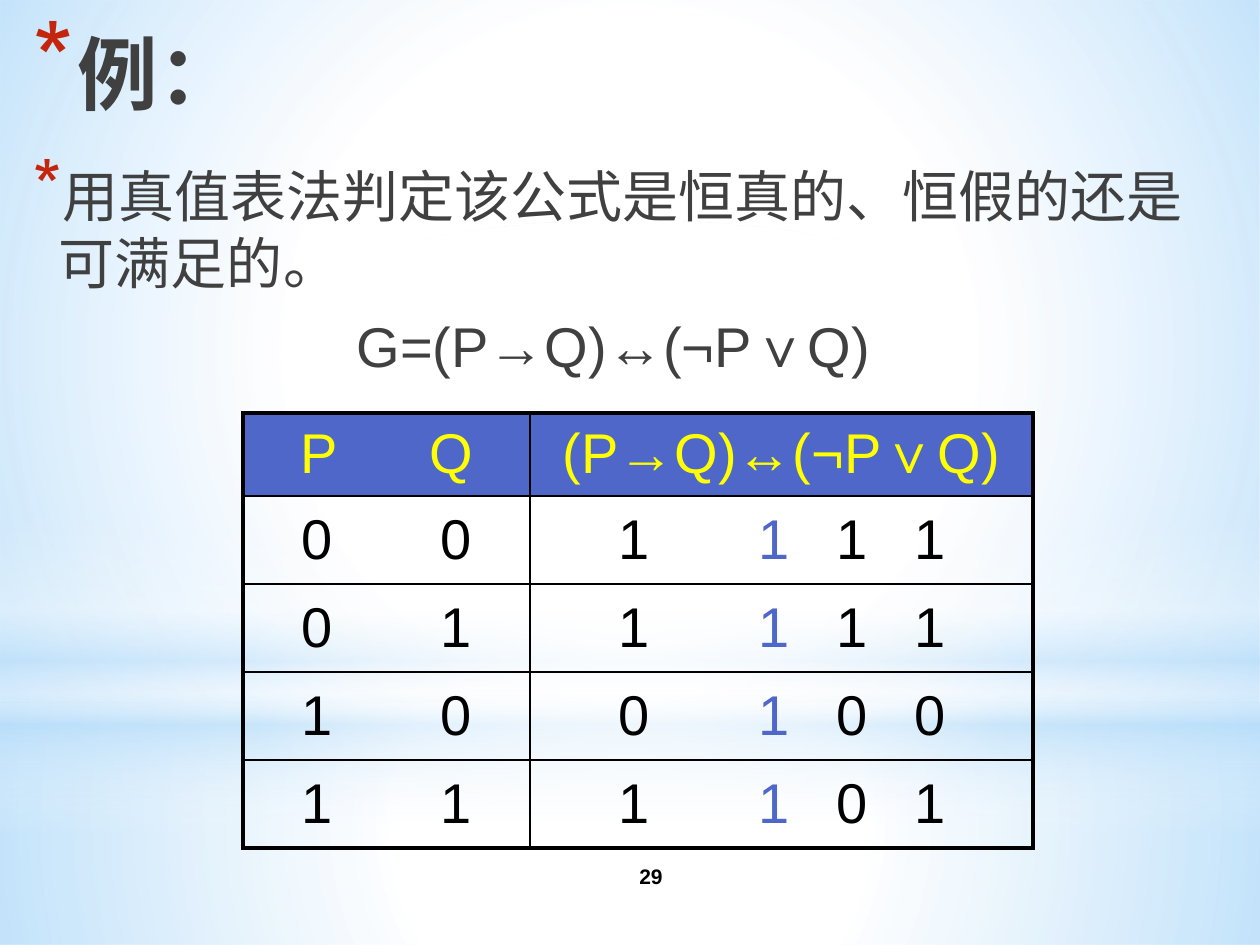
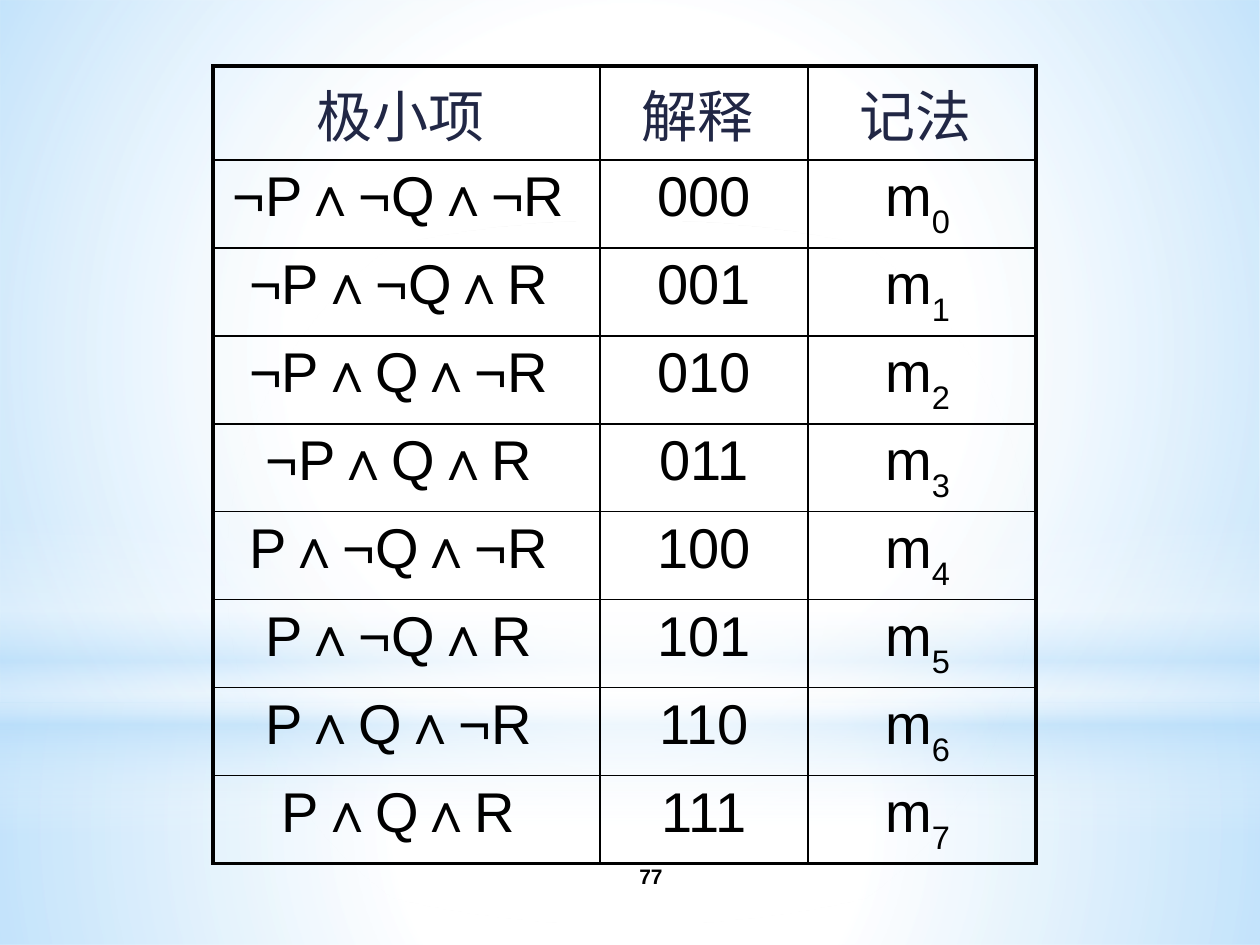
from lxml import etree
from pptx import Presentation
from pptx.dml.color import RGBColor
from pptx.enum.shapes import MSO_SHAPE
from pptx.enum.text import MSO_ANCHOR, PP_ALIGN
from pptx.oxml.ns import qn
from pptx.util import Emu, Pt

RECT, ELLIPSE = MSO_SHAPE.RECTANGLE, MSO_SHAPE.OVAL
LEFT, CENTER = PP_ALIGN.LEFT, PP_ALIGN.CENTER
TOP, MIDDLE = MSO_ANCHOR.TOP, MSO_ANCHOR.MIDDLE

PX_PER_INCH = 126
SLIDE_W, SLIDE_H = 1260, 945
COLORS = {
    "white": "FFFFFF", "sky": "B4DCFA", "black": "000000", "gray": "404040",
    "red": "C3260C", "blue": "4E67C8", "yellow": "FFFF00", "navy": "212745",
}
LATIN, TITLE_FONT, CJK = "Arial", "Karla", "Noto Sans CJK SC"
TEXT_SIZE = 32
INSET_X, INSET_Y = 13, 6
OUTER_LINE, INNER_LINE = 2.25, 1

# Shape, box, gradient angle (None is radial), stops of position, colour, opacity
BACKDROP = [
    (RECT, (0, 703, 1260, 242), None,
     [(0, "white", 91), (37, "white", 76), (100, "sky", 79)]),
    (RECT, (0, 0, 1260, 703), None,
     [(0, "white", 89), (48, "white", 62), (100, "sky", 79)]),
    (RECT, (0, 519, 1260, 315), 90,
     [(0, "white", 0), (29, "white", 30), (45, "sky", 40),
      (55, "white", 26), (65, "sky", 60), (100, "white", 0)]),
    (ELLIPSE, (0, 221, 1260, 703), None,
     [(0, "white", 100), (56, "white", 0)]),
]

FORMULA = "(P→Q)↔(¬P∨Q)"
TRUTH_ROWS = ["001111", "011111", "100100", "111101"]  # P, Q, then the formula
HEADING_TABS, INPUT_TABS = (63, 195), (61, 200)
RESULT_TABS = (91, 231, 309, 387)


def px(length):
    return Emu(round(length * 914400 / PX_PER_INCH))


def rgb(color):
    return RGBColor.from_string(COLORS[color])


def sub(parent, tag, **attributes):
    child = etree.SubElement(parent, qn(tag))
    for key, value in attributes.items():
        child.set(key, str(value))
    return child


def add_run(paragraph, text, color, size=TEXT_SIZE, font=LATIN, cjk=None,
            bold=False, baseline=0):
    run = paragraph.add_run()
    run.text = text
    run.font.size = Pt(size)
    run.font.bold = bold
    run.font.color.rgb = rgb(color)
    run.font.name = font
    properties = run._r.get_or_add_rPr()
    sub(properties, "a:ea", typeface=cjk or font)
    if baseline:
        properties.set("baseline", str(baseline * 1000))


def set_indent(paragraph, margin, hanging=0):
    properties = paragraph._p.get_or_add_pPr()
    properties.set("marL", str(px(margin)))
    properties.set("indent", str(-px(hanging)))
    return properties


def set_bullet(paragraph, margin, hanging, percent):
    properties = set_indent(paragraph, margin, hanging)
    sub(sub(properties, "a:buClr"), "a:srgbClr", val=COLORS["red"])
    sub(properties, "a:buSzPct", val=percent * 1000)
    sub(properties, "a:buChar", char="*")


def set_tabs(paragraph, stops):
    tabs = sub(paragraph._p.get_or_add_pPr(), "a:tabLst")
    for stop in stops:
        sub(tabs, "a:tab", pos=px(stop), algn="ctr")


def add_text_frame(slide, box, anchor=TOP):
    frame = slide.shapes.add_textbox(*map(px, box)).text_frame
    frame.word_wrap = True
    frame.vertical_anchor = anchor
    frame.margin_left = frame.margin_right = px(INSET_X)
    frame.margin_top = frame.margin_bottom = px(INSET_Y)
    return frame


def fill_gradient(shape, angle, stops):
    properties = shape._element.spPr
    gradient = etree.Element(qn("a:gradFill"), rotWithShape="1")
    stop_list = sub(gradient, "a:gsLst")
    for position, color, opacity in stops:
        stop = sub(stop_list, "a:gs", pos=position * 1000)
        sub(sub(stop, "a:srgbClr", val=COLORS[color]),
            "a:alpha", val=opacity * 1000)
    if angle is None:
        radial = sub(gradient, "a:path", path="circle")
        sub(radial, "a:fillToRect", l=50000, t=50000, r=50000, b=50000)
    else:
        sub(gradient, "a:lin", ang=angle * 60000, scaled=0)
    properties.find(qn("a:prstGeom")).addnext(gradient)


def add_backdrop(slide):
    for kind, box, angle, stops in BACKDROP:
        layer = slide.shapes.add_shape(kind, *map(px, box))
        layer.shadow.inherit = False
        layer.line.fill.background()
        fill_gradient(layer, angle, stops)


def add_page_number(slide, number):
    frame = add_text_frame(slide, (525, 851, 252, 50), MIDDLE)
    paragraph = frame.paragraphs[0]
    paragraph.alignment = CENTER
    add_run(paragraph, str(number), "black", size=12, bold=True)


def start_slide(deck, number):
    slide = deck.slides.add_slide(deck.slide_layouts[6])
    add_backdrop(slide)
    add_page_number(slide, number)
    return slide


def add_title(slide, box, text):
    paragraph = add_text_frame(slide, box).paragraphs[0]
    set_bullet(paragraph, 44, 44, 128)
    add_run(paragraph, text, "gray", 46, TITLE_FONT, CJK, bold=True)


def add_question(slide, box, question, formula):
    frame = add_text_frame(slide, box)
    task = frame.paragraphs[0]
    set_bullet(task, 31, 25, 130)
    task.space_after = Pt(3)
    add_run(task, question, "gray")
    statement = frame.add_paragraph()
    set_indent(statement, 6)
    statement.alignment = CENTER
    statement.space_before = Pt(6.4)
    add_run(statement, formula, "gray")


def set_borders(cell, sides):
    properties = cell._tc.get_or_add_tcPr()
    for tag, outer in sides.items():
        width = OUTER_LINE if outer else INNER_LINE
        line = sub(properties, tag, w=Pt(width))
        sub(sub(line, "a:solidFill"), "a:srgbClr", val=COLORS["black"])


def add_grid(slide, left, top, widths, heights, anchor=TOP, header_fill=None,
             inset_bottom=INSET_Y):
    """Add an empty table with a heavy frame and thin inner lines."""
    box = (left, top, sum(widths), sum(heights))
    grid = slide.shapes.add_table(
        len(heights), len(widths), *map(px, box)).table
    grid.first_row = grid.horz_banding = False
    for column, width in zip(grid.columns, widths):
        column.width = px(width)
    last_row, last_column = len(heights) - 1, len(widths) - 1
    for i, height in enumerate(heights):
        grid.rows[i].height = px(height)
        for j in range(len(widths)):
            cell = grid.cell(i, j)
            cell.vertical_anchor = anchor
            cell.margin_left = cell.margin_right = px(INSET_X)
            cell.margin_top, cell.margin_bottom = px(INSET_Y), px(inset_bottom)
            set_borders(cell, {"a:lnL": j == 0, "a:lnR": j == last_column,
                               "a:lnT": i == 0, "a:lnB": i == last_row})
            if i == 0 and header_fill:
                cell.fill.solid()
                cell.fill.fore_color.rgb = rgb(header_fill)
            else:
                cell.fill.background()
    return grid


def write_cell(cell, runs, tabs=()):
    """Write (text, options) runs, centred unless tab stops place them."""
    paragraph = cell.text_frame.paragraphs[0]
    paragraph.alignment = LEFT if tabs else CENTER
    if tabs:
        set_tabs(paragraph, tabs)
    for text, options in runs:
        add_run(paragraph, text, **options)


def add_truth_table(slide, left, top):
    grid = add_grid(slide, left, top, (287, 503), (83, 88, 88, 88, 88),
                    MIDDLE, "blue")
    heading, plain, result = ({"color": c} for c in ("yellow", "black", "blue"))
    write_cell(grid.cell(0, 0), [("\tP\tQ", heading)], HEADING_TABS)
    write_cell(grid.cell(0, 1), [(FORMULA, heading)])
    for i, (p, q, implies, verdict, negation, either) in enumerate(
            TRUTH_ROWS, start=1):
        write_cell(grid.cell(i, 0), [(f"\t{p}\t{q}", plain)], INPUT_TABS)
        write_cell(grid.cell(i, 1), [
            (f"\t{implies}\t", plain), (verdict, result),
            (f"\t{negation}\t{either}", plain)], RESULT_TABS)


def add_minterm_table(slide, left, top):
    # The small bottom inset leaves the subscripts room within each row
    grid = add_grid(slide, left, top, (387, 208, 228), [94] + [88] * 8,
                    inset_bottom=1)
    heading = {"color": "navy", "font": CJK}
    plain = {"color": "black"}
    for j, label in enumerate(("极小项 ", "解释 ", "记法 ")):
        write_cell(grid.cell(0, j), [(label, heading)])
    for index in range(8):
        bits = f"{index:03b}"
        minterm = "∧".join(name if bit == "1" else "¬" + name
                           for name, bit in zip("PQR", bits))
        row = index + 1
        write_cell(grid.cell(row, 0), [(minterm + " ", plain)])
        write_cell(grid.cell(row, 1), [(bits, plain)])
        write_cell(grid.cell(row, 2), [
            ("m", plain), (f"{index} ", {**plain, "baseline": -30})])


def build_example_slide(deck):
    slide = start_slide(deck, 29)
    add_title(slide, (21, 18, 1239, 157), "例：")
    add_question(slide, (15, 155, 1191, 268),
                 "用真值表法判定该公式是恒真的、恒假的还是可满足的。",
                 "G=" + FORMULA)
    add_truth_table(slide, 243, 413)


def build_minterm_slide(deck):
    slide = start_slide(deck, 77)
    add_minterm_table(slide, 213, 66)


def main():
    deck = Presentation()
    deck.slide_width, deck.slide_height = px(SLIDE_W), px(SLIDE_H)
    build_example_slide(deck)
    build_minterm_slide(deck)
    deck.save("out.pptx")


if __name__ == "__main__":
    main()
